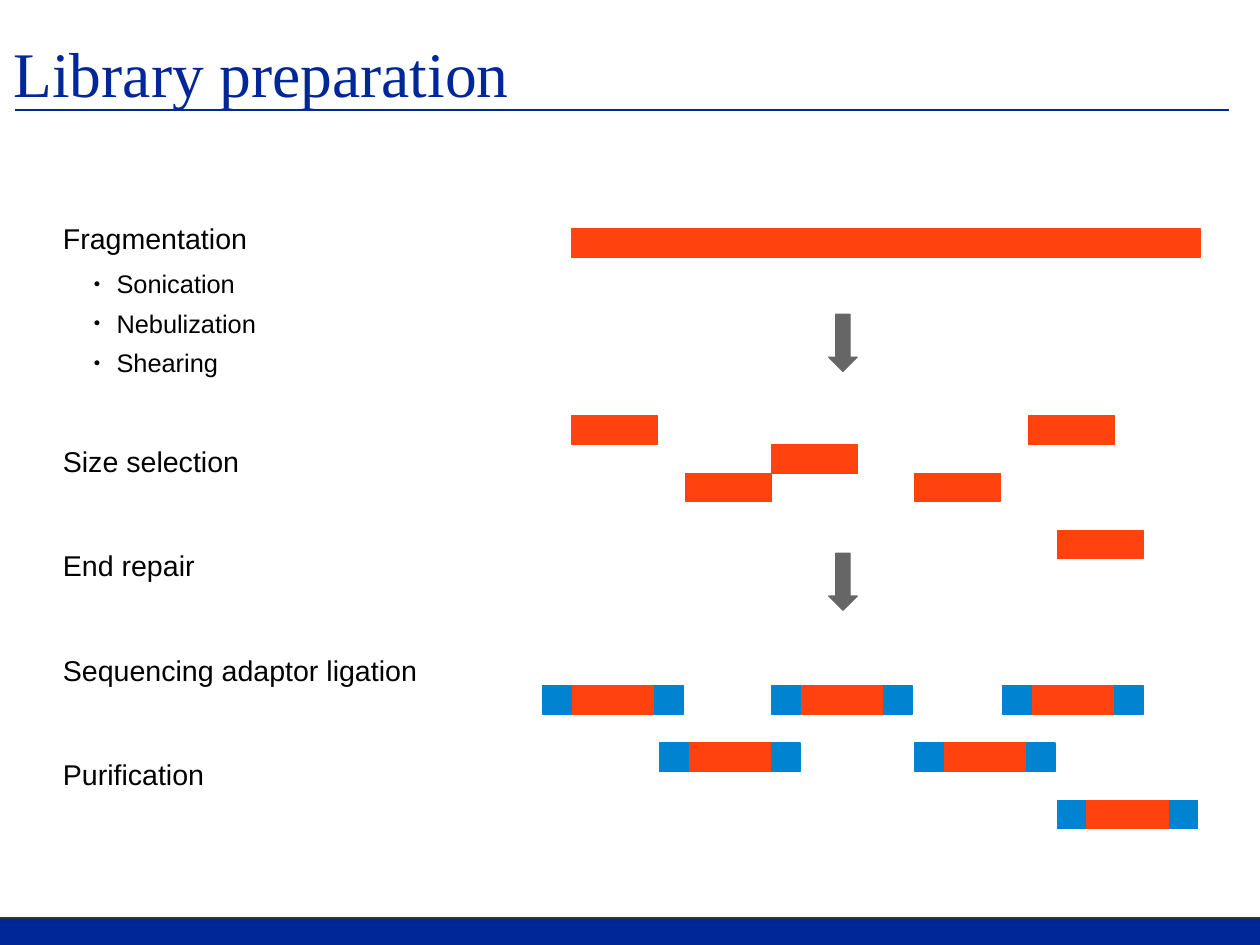
from lxml import etree
from pptx import Presentation
from pptx.dml.color import RGBColor
from pptx.enum.shapes import MSO_CONNECTOR, MSO_SHAPE
from pptx.enum.text import MSO_ANCHOR
from pptx.oxml.ns import qn
from pptx.util import Inches, Pt

RECTANGLE = MSO_SHAPE.RECTANGLE
DOWN_ARROW = MSO_SHAPE.DOWN_ARROW
STRAIGHT = MSO_CONNECTOR.STRAIGHT
TOP, MIDDLE = MSO_ANCHOR.TOP, MSO_ANCHOR.MIDDLE

COLORS = {
    "navy": "002798",
    "edge": "2E3436",
    "text": "000000",
    "dna": "FF420E",
    "adaptor": "0084D1",
    "arrow": "666666",
}
# The slide measures 28 by 21 centimetres
SLIDE_WIDTH, SLIDE_HEIGHT = 28 / 2.54, 21 / 2.54
BAR_HEIGHT = 0.25
FRAGMENT_WIDTH = 0.75
ADAPTOR_WIDTH = 0.25

# Steps as (text, is a bullet, space after in points)
STEPS = [
    ("Fragmentation", False, 8.5),
    ("Sonication", True, 5.7),
    ("Nebulization", True, 5.7),
    ("Shearing", True, 41.6),
    ("Size selection", False, 44.2),
    ("End repair", False, 44.2),
    ("Sequencing adaptor ligation", False, 44.2),
    ("Purification", False, 8.5),
]
# Offsets from the top left corner of the diagram
FRAGMENTS = [(0.25, 1.64), (2, 1.89), (4.5, 2.64), (3.25, 2.14), (1.25, 2.14), (4.25, 1.64)]
LIGATED = [(0, 4), (1.02, 4.5), (2, 4), (3.25, 4.5), (4.02, 4), (4.5, 5)]
ARROWS = [(2.5, 0.75), (2.5, 2.84)]


def color(name):
    return RGBColor.from_string(COLORS[name])


def add_block(shapes, kind, left, top, width, height, color_name):
    shape = shapes.add_shape(kind, Inches(left), Inches(top), Inches(width), Inches(height))
    shape.shadow.inherit = False
    shape.fill.solid()
    shape.fill.fore_color.rgb = color(color_name)
    shape.line.color.rgb = color(color_name)
    shape.line.width = Pt(0)


def add_rule(slide, left, right, top, color_name):
    rule = slide.shapes.add_connector(
        STRAIGHT, Inches(left), Inches(top), Inches(right), Inches(top))
    rule.line.color.rgb = color(color_name)
    rule.line.width = Pt(1.42)
    etree.SubElement(rule._element.spPr, qn("a:effectLst"))


def add_text_frame(slide, left, top, width, height, anchor):
    box = slide.shapes.add_textbox(Inches(left), Inches(top), Inches(width), Inches(height))
    frame = box.text_frame
    frame.word_wrap = True
    frame.vertical_anchor = anchor
    frame.margin_left = frame.margin_right = frame.margin_top = frame.margin_bottom = 0
    return frame


def format_font(paragraph, name, size, color_name):
    for run in paragraph.runs:
        run.font.name = name
        run.font.size = Pt(size)
        run.font.color.rgb = color(color_name)


def add_bullet(paragraph):
    properties = paragraph._p.get_or_add_pPr()
    properties.set("marL", str(Inches(0.47)))
    properties.set("indent", str(Inches(-0.2)))
    etree.SubElement(properties, qn("a:buSzPct"), val="45000")
    etree.SubElement(properties, qn("a:buFont"), typeface="Arial")
    etree.SubElement(properties, qn("a:buChar"), char="●")


def add_footer(slide, left, top, width, height):
    add_block(slide.shapes, RECTANGLE, left, top, width, height, "navy")
    add_rule(slide, left, left + width, top, "edge")


def add_title(slide, left, top, width, height):
    add_rule(slide, left + 0.01, left + 10.63, top + 1.02, "navy")
    frame = add_text_frame(slide, left, top, width, height, MIDDLE)
    frame.text = "Library preparation"
    format_font(frame.paragraphs[0], "Times New Roman", 40, "navy")


def add_steps(slide, left, top, width, height):
    frame = add_text_frame(slide, left, top, width, height, TOP)
    for index, (text, bulleted, space_after) in enumerate(STEPS):
        paragraph = frame.add_paragraph() if index else frame.paragraphs[0]
        paragraph.text = text
        paragraph.space_after = Pt(space_after)
        if bulleted:
            add_bullet(paragraph)
        format_font(paragraph, "Arial", 16 if bulleted else 18, "text")


def add_ligated_fragment(slide, left, top):
    group = slide.shapes.add_group_shape()
    parts = [
        (0.25, FRAGMENT_WIDTH, "dna"),
        (0, ADAPTOR_WIDTH, "adaptor"),
        (0.98, ADAPTOR_WIDTH, "adaptor"),
    ]
    for offset, width, color_name in parts:
        add_block(group.shapes, RECTANGLE, left + offset, top, width, BAR_HEIGHT, color_name)


def add_diagram(slide, left, top, width):
    # Intact DNA, its fragments, then fragments with adaptors
    add_block(slide.shapes, RECTANGLE, left + 0.25, top, width - 0.25, BAR_HEIGHT, "dna")
    for x, y in FRAGMENTS:
        add_block(slide.shapes, RECTANGLE, left + x, top + y, FRAGMENT_WIDTH, BAR_HEIGHT, "dna")
    for x, y in LIGATED:
        add_ligated_fragment(slide, left + x, top + y)
    # Arrows between the stages
    for x, y in ARROWS:
        add_block(slide.shapes, DOWN_ARROW, left + x, top + y, 0.25, 0.5, "arrow")


def main():
    presentation = Presentation()
    presentation.slide_width = Inches(SLIDE_WIDTH)
    presentation.slide_height = Inches(SLIDE_HEIGHT)
    slide = presentation.slides.add_slide(presentation.slide_layouts[6])
    add_footer(slide, 0, 8.03, SLIDE_WIDTH, SLIDE_HEIGHT - 8.03)
    add_title(slide, 0.12, -0.06, 10.47, 1.38)
    add_steps(slide, 0.55, 1.93, 9.92, 5.46)
    add_diagram(slide, 4.75, 2, 5.75)
    presentation.save("out.pptx")


if __name__ == "__main__":
    main()
